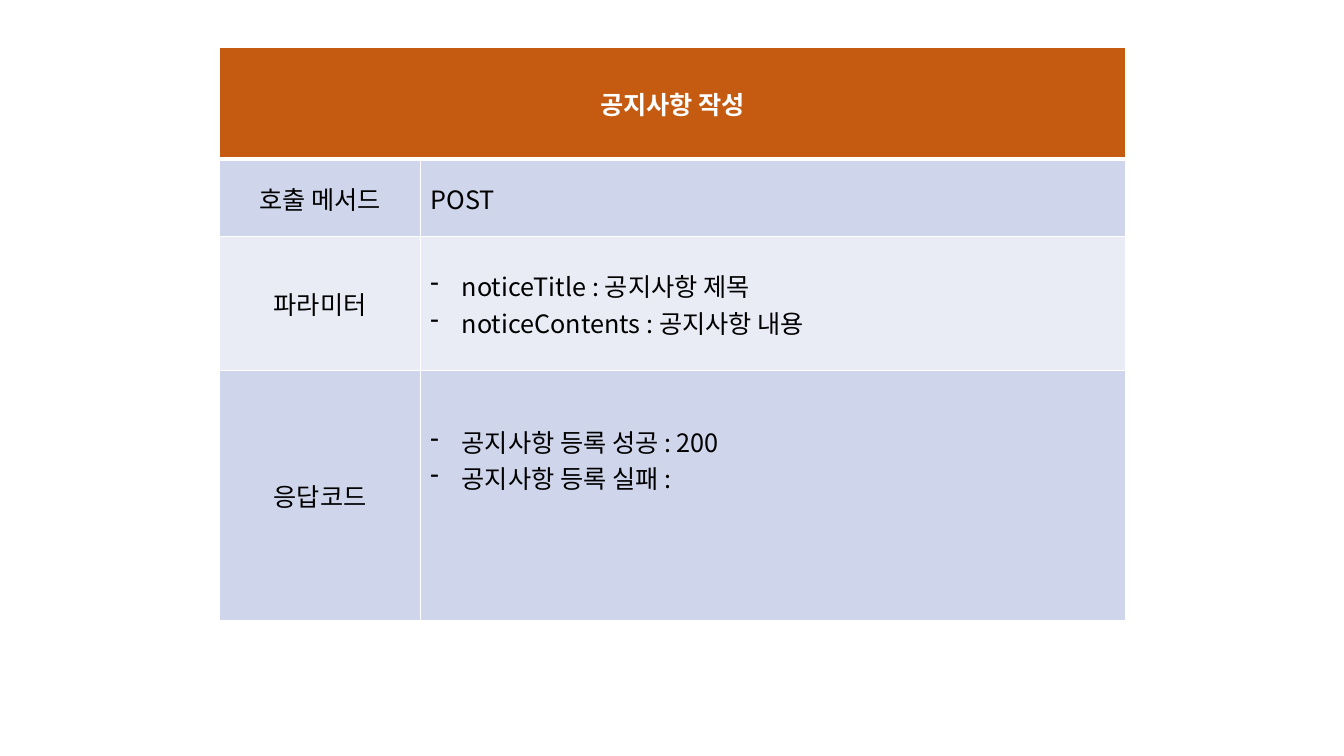
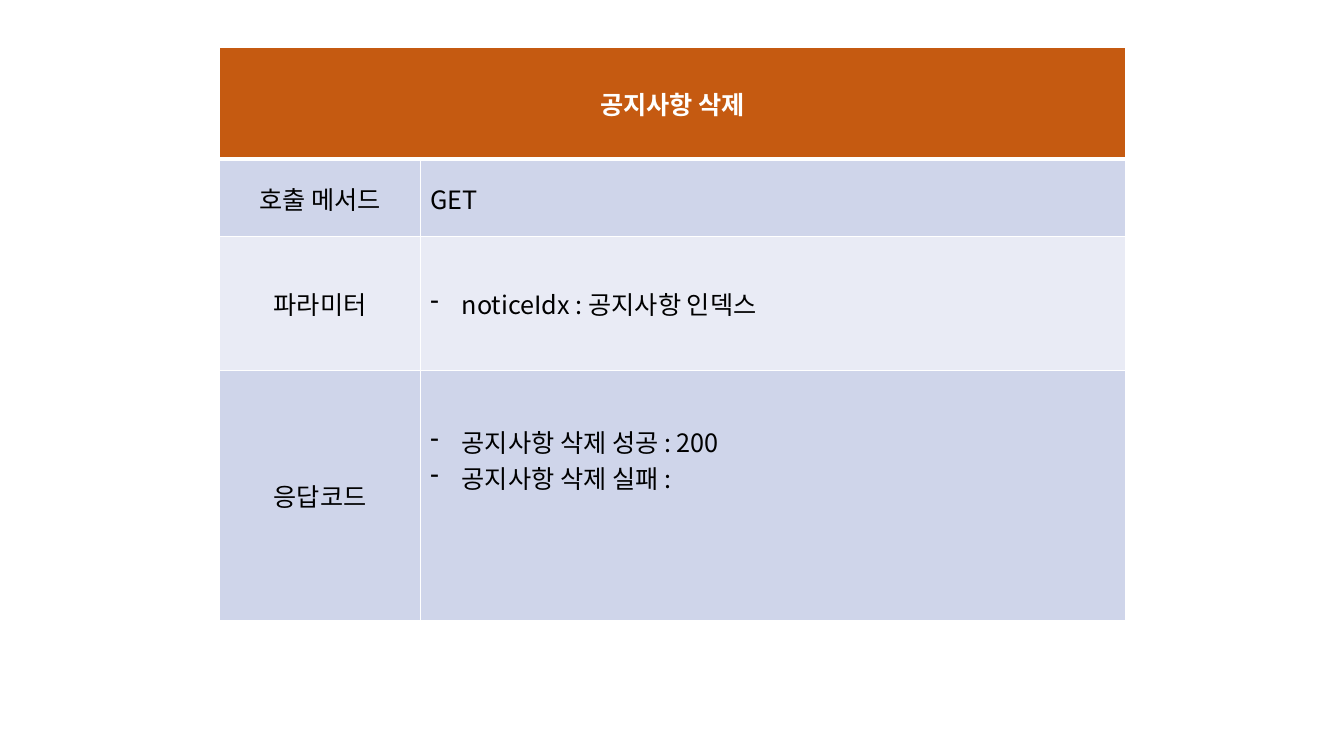
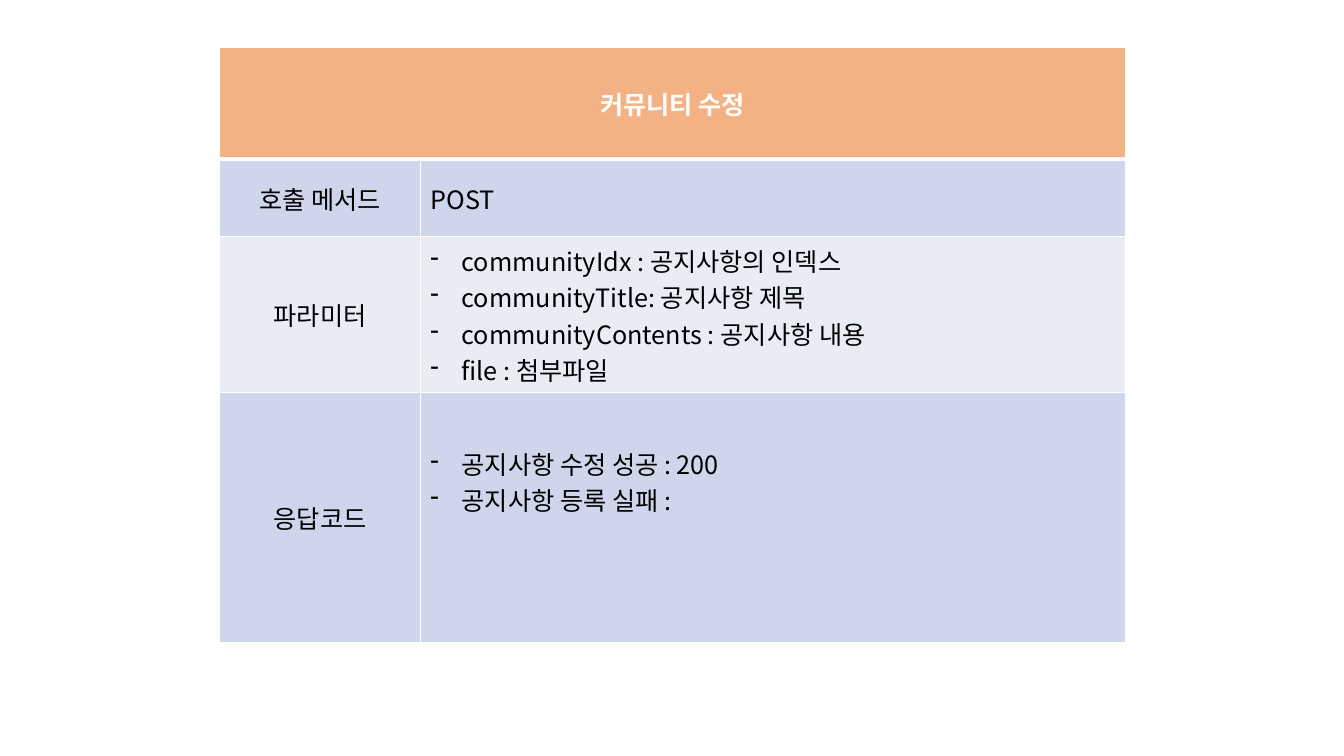
from lxml.etree import SubElement
from pptx import Presentation
from pptx.dml.color import RGBColor
from pptx.enum.text import MSO_ANCHOR, PP_ALIGN
from pptx.oxml.ns import qn
from pptx.util import Inches, Pt

FONT = "Noto Sans CJK KR"
COLORS = {
    "notice": "C55A11",
    "community": "F4B183",
    "band_dark": "CFD5EA",
    "band_light": "E9EBF5",
    "white": "FFFFFF",
    "black": "000000",
}
COLUMN_WIDTHS = [1.99, 6.99]
ROW_HEIGHTS = [1.11, 0.77, 1.33, 2.48]
BULLET_INDENT = Inches(0.31)

# Title, header colour, method, parameters, response codes
API_CALLS = [
    ("공지사항 작성", "notice", "POST",
     ["noticeTitle : 공지사항 제목", "noticeContents : 공지사항 내용"],
     ["공지사항 등록 성공 : 200", "공지사항 등록 실패 :"]),
    ("공지사항 삭제", "notice", "GET",
     ["noticeIdx : 공지사항 인덱스"],
     ["공지사항 삭제 성공 : 200", "공지사항 삭제 실패 :"]),
    ("커뮤니티 수정", "community", "POST",
     ["communityIdx : 공지사항의 인덱스", "communityTitle: 공지사항 제목",
      "communityContents : 공지사항 내용", "file : 첨부파일"],
     ["공지사항 수정 성공 : 200", "공지사항 등록 실패 :"]),
]


def style_cell(cell, fill, top=1, bottom=1):
    """Give a cell white borders (widths in points), a fill and a middle anchor."""
    properties = cell._tc.get_or_add_tcPr()
    for side, width in (("L", 1), ("R", 1), ("T", top), ("B", bottom)):
        border = SubElement(properties, qn(f"a:ln{side}"), w=str(Pt(width)))
        border_fill = SubElement(border, qn("a:solidFill"))
        SubElement(border_fill, qn("a:srgbClr"), val=COLORS["white"])
    cell.fill.solid()
    cell.fill.fore_color.rgb = RGBColor.from_string(COLORS[fill])
    cell.vertical_anchor = MSO_ANCHOR.MIDDLE


def write_cell(cell, lines, color="black", bold=False, centred=False, bulleted=False):
    """Write one paragraph per line."""
    cell.text = "\n".join(lines)
    for paragraph in cell.text_frame.paragraphs:
        paragraph.alignment = PP_ALIGN.CENTER if centred else PP_ALIGN.LEFT
        if bulleted:
            settings = paragraph._p.get_or_add_pPr()
            settings.set("marL", str(BULLET_INDENT))
            settings.set("indent", str(-BULLET_INDENT))
            SubElement(settings, qn("a:buFontTx"))
            SubElement(settings, qn("a:buChar"), char="-")
        font = paragraph.font
        font.name = FONT
        font.size = Pt(18)
        font.bold = bold
        font.color.rgb = RGBColor.from_string(COLORS[color])
        defaults = paragraph._p.pPr.find(qn("a:defRPr"))
        SubElement(defaults, qn("a:ea"), typeface=FONT)


prs = Presentation()
prs.slide_width = Inches(13.33)
prs.slide_height = Inches(7.5)

for title, header_color, method, parameters, responses in API_CALLS:
    slide = prs.slides.add_slide(prs.slide_layouts[6])
    api_table = slide.shapes.add_table(
        len(ROW_HEIGHTS), len(COLUMN_WIDTHS), Inches(2.18), Inches(0.47),
        Inches(sum(COLUMN_WIDTHS)), Inches(sum(ROW_HEIGHTS))).table
    for column, width in zip(api_table.columns, COLUMN_WIDTHS):
        column.width = Inches(width)
    for row, height in zip(api_table.rows, ROW_HEIGHTS):
        row.height = Inches(height)

    # Header across both columns
    header = api_table.cell(0, 0)
    header.merge(api_table.cell(0, 1))
    for cell in api_table.rows[0].cells:
        style_cell(cell, header_color, bottom=3)
    write_cell(header, [title], "white", bold=True, centred=True)

    # Label and content rows
    details = [("호출 메서드", [method]), ("파라미터", parameters), ("응답코드", responses)]
    for index, (label, lines) in enumerate(details, start=1):
        label_cell, content_cell = api_table.rows[index].cells
        for cell in (label_cell, content_cell):
            style_cell(cell, "band_dark" if index % 2 else "band_light",
                       top=3 if index == 1 else 1)
        write_cell(label_cell, [label], centred=True)
        write_cell(content_cell, lines, bulleted=index > 1)

    # Response codes sit above the middle of their row
    api_table.cell(3, 1).margin_bottom = Inches(0.77)

prs.save("out.pptx")
